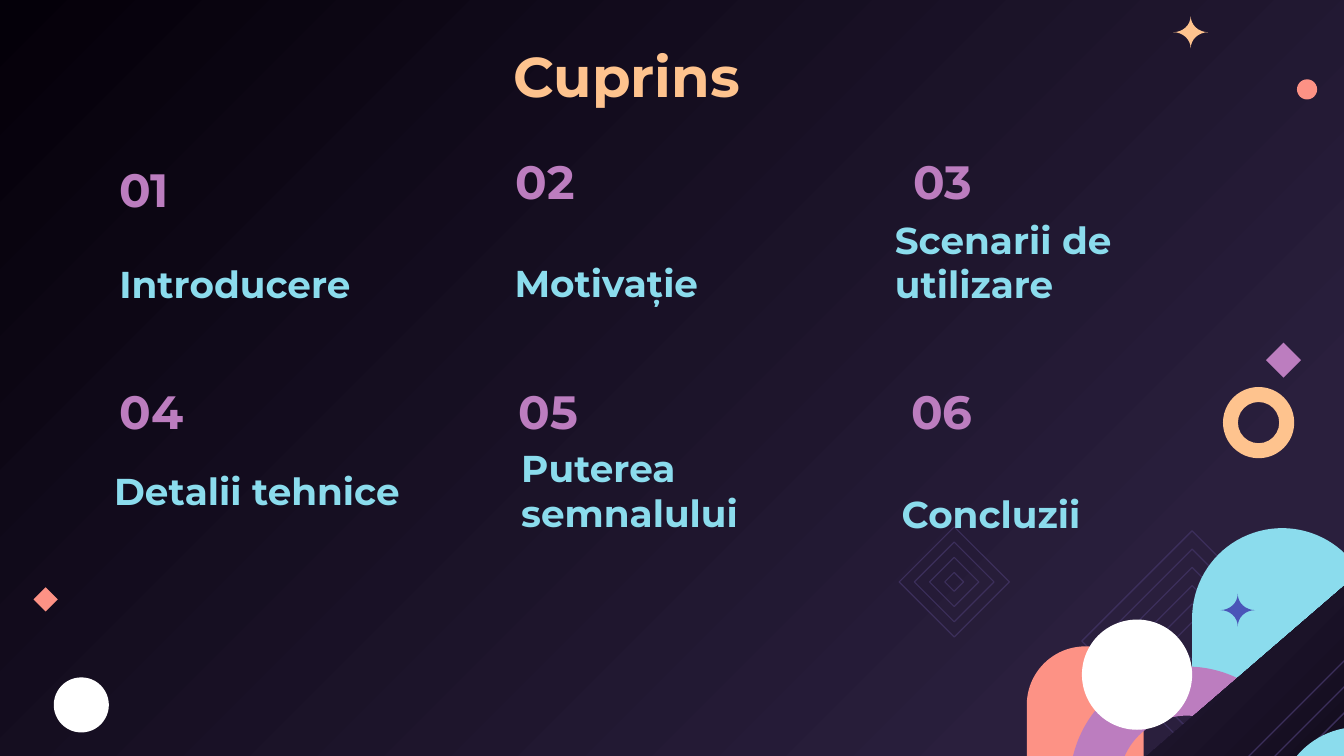
import math
from dataclasses import dataclass

import pptx
import pptx.dml.color
import pptx.enum.shapes
import pptx.enum.text
import pptx.util

Inches = pptx.util.Inches
Pt = pptx.util.Pt
Preset = pptx.enum.shapes.MSO_SHAPE
Anchor = pptx.enum.text.MSO_ANCHOR
Align = pptx.enum.text.PP_ALIGN


@dataclass(frozen=True)
class Theme:
    font: str = "Montserrat"
    title_size: int = 30
    number_size: int = 25
    topic_size: int = 20
    peach: str = "FEC38E"
    coral: str = "FD9285"
    orchid: str = "BC7DBF"
    sky: str = "8BDCED"
    indigo: str = "4A55B8"
    white: str = "FFFFFF"
    outline: str = "3C2F5B"
    dusk: str = "2A1F3D"
    night: str = "040009"


THEME = Theme()

# Number, its left, top and width; topic, its left and top
AGENDA = [
    ("01", 0.79, 1.16, 2.52, "Introducere", 0.79, 1.6),
    ("02", 3.74, 1.1, 2.52, "Motivație", 3.73, 1.59),
    ("03", 6.7, 1.1, 2.52, "Scenarii de utilizare", 6.56, 1.6),
    ("04", 0.79, 2.81, 2.52, "Detalii tehnice", 0.75, 3.14),
    ("05", 3.76, 2.81, 1.02, "Puterea semnalului", 3.78, 3.3),
    ("06", 6.68, 2.81, 1.02, "Concluzii", 6.61, 3.31),
]


def rgb(color):
    return pptx.dml.color.RGBColor.from_string(color)


def fill_gradient(fill, angle):
    fill.gradient()
    fill.gradient_angle = angle
    stops = ((0.17, THEME.dusk), (1, THEME.night))
    for stop, (position, color) in zip(fill.gradient_stops, stops):
        stop.position = position
        stop.color.rgb = rgb(color)


def paint(shape, color):
    shape.shadow.inherit = False
    shape.line.fill.background()
    shape.fill.solid()
    shape.fill.fore_color.rgb = rgb(color)


def add_preset(slide, preset, left, top, width, height, color, adjustments=()):
    shape = slide.shapes.add_shape(
        preset, Inches(left), Inches(top), Inches(width), Inches(height))
    for index, value in enumerate(adjustments):
        shape.adjustments[index] = value
    paint(shape, color)


def add_polygon(slide, points, color):
    corners = [(Inches(x), Inches(y)) for x, y in points]
    builder = slide.shapes.build_freeform(*corners[0])
    builder.add_line_segments(corners[1:], close=True)
    polygon = builder.convert_to_shape()
    paint(polygon, color)
    return polygon


def add_sparkle(slide, center_x, center_y, color):
    """Four-pointed star whose sides are inward quarter arcs."""
    radius_x, radius_y, steps = 0.13, 0.12, 8
    points = []
    for quarter, (sign_x, sign_y) in enumerate([(1, 1), (-1, 1), (-1, -1), (1, -1)]):
        for step in range(steps):
            turn = step if quarter % 2 == 0 else steps - step
            angle = math.pi / 2 * turn / steps
            points.append((center_x + sign_x * radius_x * (1 - math.sin(angle)),
                           center_y + sign_y * radius_y * (1 - math.cos(angle))))
    add_polygon(slide, points, color)


def add_nested_diamonds(slide, center_x, center_y, outer, inner, count, weight):
    for ring in range(count):
        half = outer - (outer - inner) * ring / (count - 1)
        diamond = slide.shapes.add_shape(
            Preset.DIAMOND, Inches(center_x - half), Inches(center_y - half),
            Inches(2 * half), Inches(2 * half))
        diamond.shadow.inherit = False
        diamond.fill.background()
        diamond.line.color.rgb = rgb(THEME.outline)
        diamond.line.width = Pt(weight)


def add_label(slide, text, box, size, color, anchor, align=Align.LEFT):
    label = slide.shapes.add_textbox(*map(Inches, box))
    frame = label.text_frame
    frame.word_wrap = True
    frame.vertical_anchor = anchor
    frame.margin_left = frame.margin_right = Inches(0.1)
    frame.margin_top = frame.margin_bottom = Inches(0.1)
    frame.text = text
    paragraph = frame.paragraphs[0]
    paragraph.alignment = align
    font = paragraph.runs[0].font
    font.name, font.size, font.bold = THEME.font, Pt(size), True
    font.color.rgb = rgb(color)


def add_edge_ornaments(slide):
    add_preset(slide, Preset.DIAMOND, 0.25, 4.37, 0.18, 0.18, THEME.coral)
    add_preset(slide, Preset.OVAL, 0.4, 5.04, 0.41, 0.41, THEME.white)
    add_preset(slide, Preset.OVAL, 9.65, 0.59, 0.15, 0.15, THEME.coral)
    add_sparkle(slide, 8.86, 0.24, THEME.peach)
    add_preset(slide, Preset.DIAMOND, 9.42, 2.55, 0.26, 0.26, THEME.orchid)
    add_preset(slide, Preset.DONUT, 9.1, 2.88, 0.53, 0.53, THEME.peach, [0.21])


def add_corner_scene(slide):
    # Arched pillars and ring
    add_nested_diamonds(slide, 8.87, 4.77, 0.82, 0.14, 6, 0.67)
    arch = Preset.ROUND_2_SAME_RECTANGLE
    add_preset(slide, arch, 7.64, 4.81, 0.87, 2.04, THEME.coral, [0.5, 0])
    add_preset(slide, arch, 8.87, 3.93, 1.34, 3.16, THEME.sky, [0.5, 0])
    add_preset(slide, Preset.DONUT, 7.96, 4.96, 1.74, 1.74, THEME.orchid, [0.21])

    # Dark slope with its decorations
    slope = add_polygon(
        slide, [(11.88, 6.12), (7.96, 6.12), (11.88, 2.74)], THEME.night)
    fill_gradient(slope.fill, 315)
    add_nested_diamonds(slide, 10.06, 6.01, 1.15, 0.57, 4, 0.67)
    add_preset(slide, Preset.OVAL, 9.51, 5.41, 1.2, 1.2, THEME.sky)

    # Foreground
    add_sparkle(slide, 9.21, 4.54, THEME.indigo)
    add_preset(slide, Preset.OVAL, 8.05, 4.61, 0.82, 0.82, THEME.white)
    add_nested_diamonds(slide, 7.1, 4.33, 0.41, 0.07, 4, 0.62)


def add_agenda(slide):
    add_label(slide, "Cuprins", (0.45, 0.21, 8.43, 0.63), THEME.title_size,
              THEME.peach, Anchor.TOP, Align.CENTER)
    for number, left, top, width, topic, topic_left, topic_top in AGENDA:
        add_label(slide, number, (left, top, width, 0.49),
                  THEME.number_size, THEME.orchid, Anchor.MIDDLE)
        add_label(slide, topic, (topic_left, topic_top, 2.52, 0.78),
                  THEME.topic_size, THEME.sky, Anchor.BOTTOM)


def main():
    deck = pptx.Presentation()
    # Widescreen, 16:9
    deck.slide_width = Inches(10)
    deck.slide_height = deck.slide_width * 9 // 16
    slide = deck.slides.add_slide(deck.slide_layouts[6])
    fill_gradient(slide.background.fill, 135)
    add_edge_ornaments(slide)
    add_corner_scene(slide)
    add_agenda(slide)
    deck.save("out.pptx")


if __name__ == "__main__":
    main()
